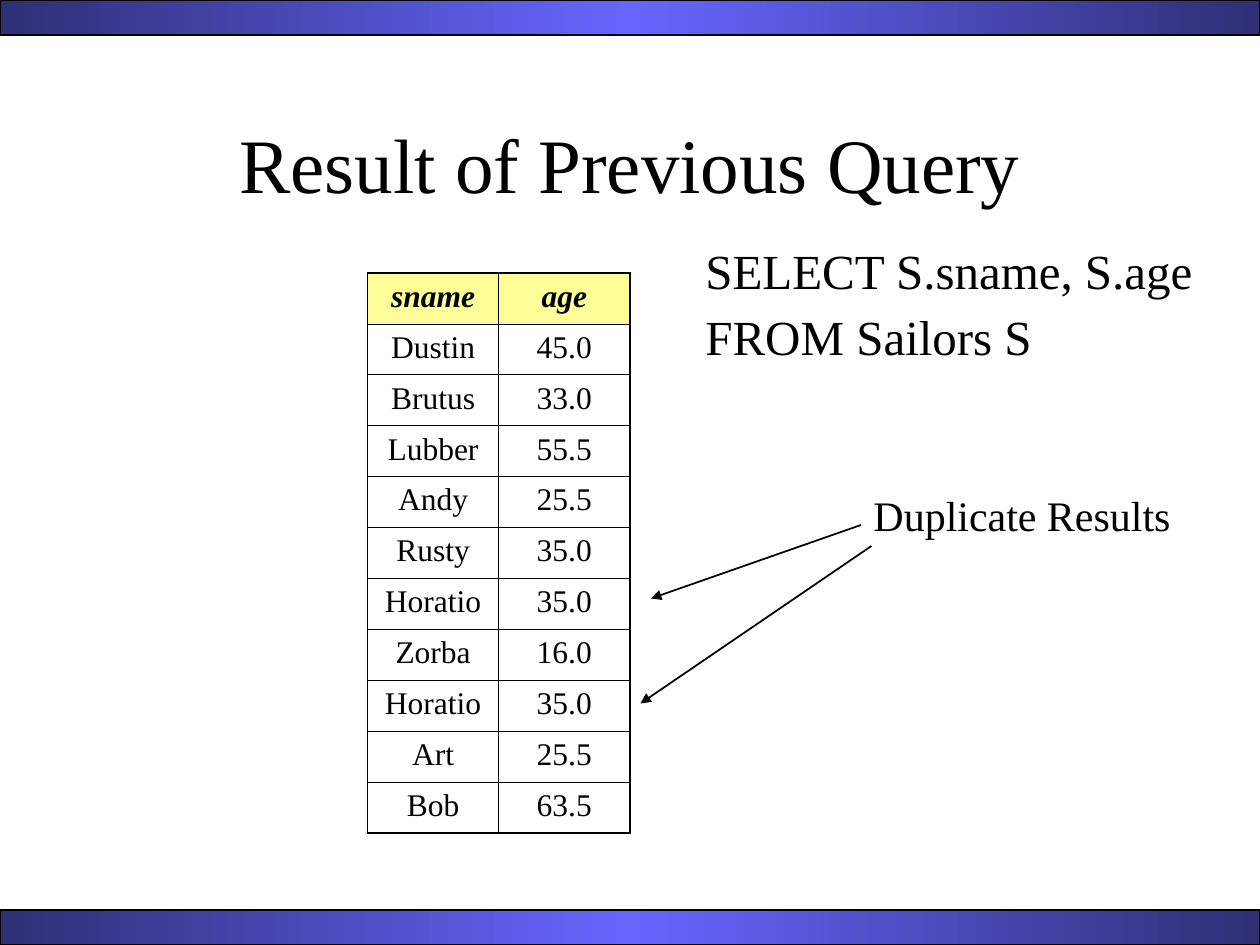
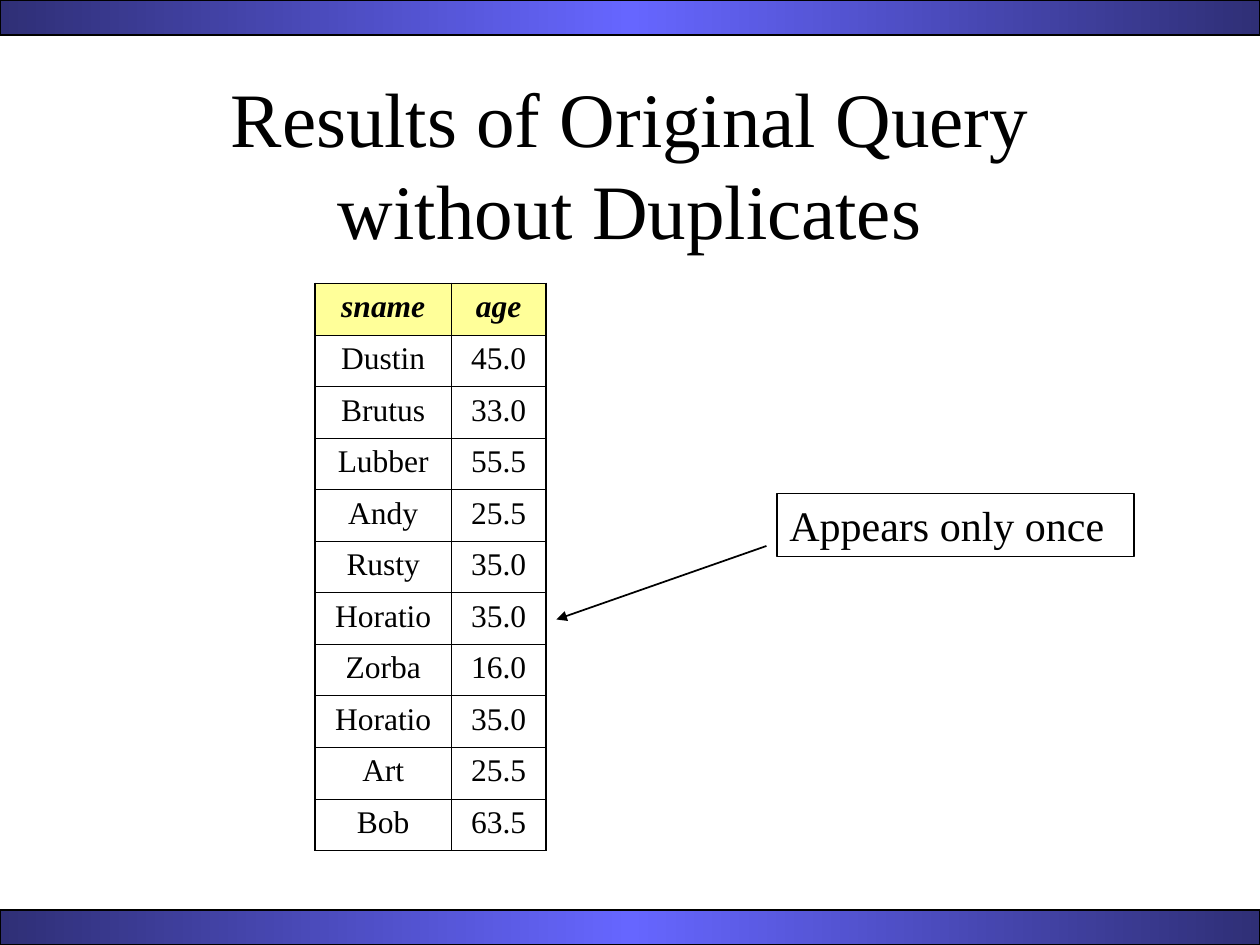
from dataclasses import dataclass

from lxml.etree import SubElement as Sub
from pptx import Presentation
from pptx.dml.color import RGBColor as Rgb
from pptx.enum.shapes import MSO_CONNECTOR as Link, MSO_SHAPE as Form
from pptx.enum.text import MSO_ANCHOR as Anchor, MSO_AUTO_SIZE as Fit, PP_ALIGN as Align
from pptx.oxml import parse_xml
from pptx.oxml.ns import nsdecls, qn
from pptx.util import Pt


@dataclass(frozen=True)
class Theme:
    """Colours, font, type sizes and line widths of the deck."""
    font: str = "Times New Roman"
    ink: str = "000000"
    head: str = "FFFF99"
    edge: str = "2F2F76"
    glow: str = "6666FF"
    title: int = 44
    code: int = 28
    note: int = 24
    cell: int = 18
    thin: float = 0.45
    thick: float = 1.08
    frame: float = 0.74
    arrow: float = 1


WIDE, HIGH, BAND = 720, 540, 20
ROWS = [
    ("sname", "age"),
    ("Dustin", "45.0"),
    ("Brutus", "33.0"),
    ("Lubber", "55.5"),
    ("Andy", "25.5"),
    ("Rusty", "35.0"),
    ("Horatio", "35.0"),
    ("Zorba", "16.0"),
    ("Horatio", "35.0"),
    ("Art", "25.5"),
    ("Bob", "63.5"),
]


class Deck:
    """Holds the theme and the slide being built."""

    def __init__(self, theme):
        """Start an empty deck."""
        self.theme = theme
        self.file = Presentation()
        self.file.slide_width, self.file.slide_height = Pt(WIDE), Pt(HIGH)
        self.page = None

    def slide(self, title):
        """Add a slide with its two bands and its title."""
        self.page = self.file.slides.add_slide(self.file.slide_layouts[5])
        for top in (0, HIGH - BAND):
            self.band(top)
        head = self.page.shapes.title
        head.left, head.top, head.width, head.height = map(Pt, (54, 48, 612, 90))
        frame = head.text_frame
        frame.text = title
        frame.word_wrap, frame.auto_size = True, Fit.NONE
        frame.vertical_anchor = Anchor.MIDDLE
        self.style(frame.paragraphs[0], self.theme.title, Align.CENTER)

    def style(self, para, size, align=Align.LEFT, bold=False):
        """Set the font and alignment of a paragraph; bold is also italic."""
        font = para.font
        font.name, font.size = self.theme.font, Pt(size)
        font.bold = font.italic = bold
        font.color.rgb = Rgb.from_string(self.theme.ink)
        para.alignment = align

    def stroke(self, line, width):
        """Give a line the ink colour and a width."""
        line.color.rgb = Rgb.from_string(self.theme.ink)
        line.width = Pt(width)

    def band(self, top):
        """Draw a full-width band, bright in the middle."""
        bar = self.page.shapes.add_shape(Form.RECTANGLE, 0, Pt(top), Pt(WIDE), Pt(BAND))
        bar.shadow.inherit = False
        self.stroke(bar.line, self.theme.frame)
        tones = (self.theme.edge, self.theme.glow, self.theme.edge)
        stops = "".join(
            f'<a:gs pos="{i * 50000}"><a:srgbClr val="{tone}"/></a:gs>'
            for i, tone in enumerate(tones))
        bar.element.spPr.find(qn("a:prstGeom")).addnext(parse_xml(
            f'<a:gradFill {nsdecls("a")} rotWithShape="1"><a:gsLst>{stops}</a:gsLst>'
            '<a:lin ang="0" scaled="1"/></a:gradFill>'))

    def text(self, lines, box, size, before):
        """Add a text box with one paragraph a line and return it."""
        shape = self.page.shapes.add_textbox(*map(Pt, box))
        frame = shape.text_frame
        frame.word_wrap = True
        frame.text = "\n".join(lines)
        for para in frame.paragraphs:
            self.style(para, size)
            para.space_before = Pt(before)
        return shape

    def code(self, lines, box):
        """Add query lines with a hanging indent."""
        shape = self.text(lines, box, self.theme.code, 7)
        for para in shape.text_frame.paragraphs:
            para.line_spacing = 0.9
            props = para._p.get_or_add_pPr()
            props.set("marL", str(Pt(27)))
            props.set("indent", str(Pt(-27)))

    def note(self, line, box, framed=False):
        """Add a remark, with a frame if asked."""
        shape = self.text([line], box, self.theme.note, 15)
        shape.text_frame.auto_size = Fit.SHAPE_TO_FIT_TEXT
        if framed:
            self.stroke(shape.line, self.theme.frame)

    def arrow(self, start, end):
        """Draw a straight arrow from start to end."""
        link = self.page.shapes.add_connector(Link.STRAIGHT, *map(Pt, start + end))
        self.stroke(link.line, self.theme.arrow)
        Sub(link.line._get_or_add_ln(), qn("a:tailEnd"), type="triangle")
        Sub(link.element.spPr, qn("a:effectLst"))

    def table(self, rows, left, top, cols, high):
        """Add a ruled table with a tinted head row."""
        box = map(Pt, (left, top, sum(cols), high))
        grid = self.page.shapes.add_table(len(rows), len(cols), *box).table
        grid.first_row = grid.horz_banding = False
        for col, width in zip(grid.columns, cols):
            col.width = Pt(width)
        for r, row in enumerate(rows):
            grid.rows[r].height = Pt(high / len(rows))
            for c, value in enumerate(row):
                cell = grid.cell(r, c)
                cell.text = value
                para = cell.text_frame.paragraphs[0]
                self.style(para, self.theme.cell, Align.CENTER, bold=r == 0)
                para.space_before = Pt(4.5)
                if r == 0:
                    cell.fill.solid()
                    cell.fill.fore_color.rgb = Rgb.from_string(self.theme.head)
                else:
                    cell.fill.background()
                self.rule(cell, L=c == 0, R=c == len(cols) - 1,
                          T=r == 0, B=r == len(rows) - 1)

    def rule(self, cell, **sides):
        """Border a cell, thick on the sides that are outer."""
        props = cell._tc.get_or_add_tcPr()
        for i, (side, outer) in enumerate(sides.items()):
            width = Pt(self.theme.thick if outer else self.theme.thin)
            props.insert(i, parse_xml(
                f'<a:ln{side} {nsdecls("a")} w="{width}"><a:solidFill>'
                f'<a:srgbClr val="{self.theme.ink}"/></a:solidFill></a:ln{side}>'))


def main():
    """Build both slides and save them."""
    deck = Deck(Theme())

    deck.slide("Result of Previous Query")
    deck.code(["SELECT S.sname, S.age", "FROM Sailors S"], (396, 138, 300, 114))
    deck.arrow((498, 312), (366, 402))
    deck.arrow((492, 300), (372, 342))
    deck.note("Duplicate Results", (492, 276, 192, 36))
    deck.table(ROWS, 210, 156, (75, 75), 320)

    deck.slide("Results of Original Query without Duplicates")
    deck.arrow((438, 312), (318, 354))
    deck.note("Appears only once", (444, 282, 204, 36), framed=True)
    deck.table(ROWS, 180, 162, (78, 54), 324)

    deck.file.save("out.pptx")


main()
